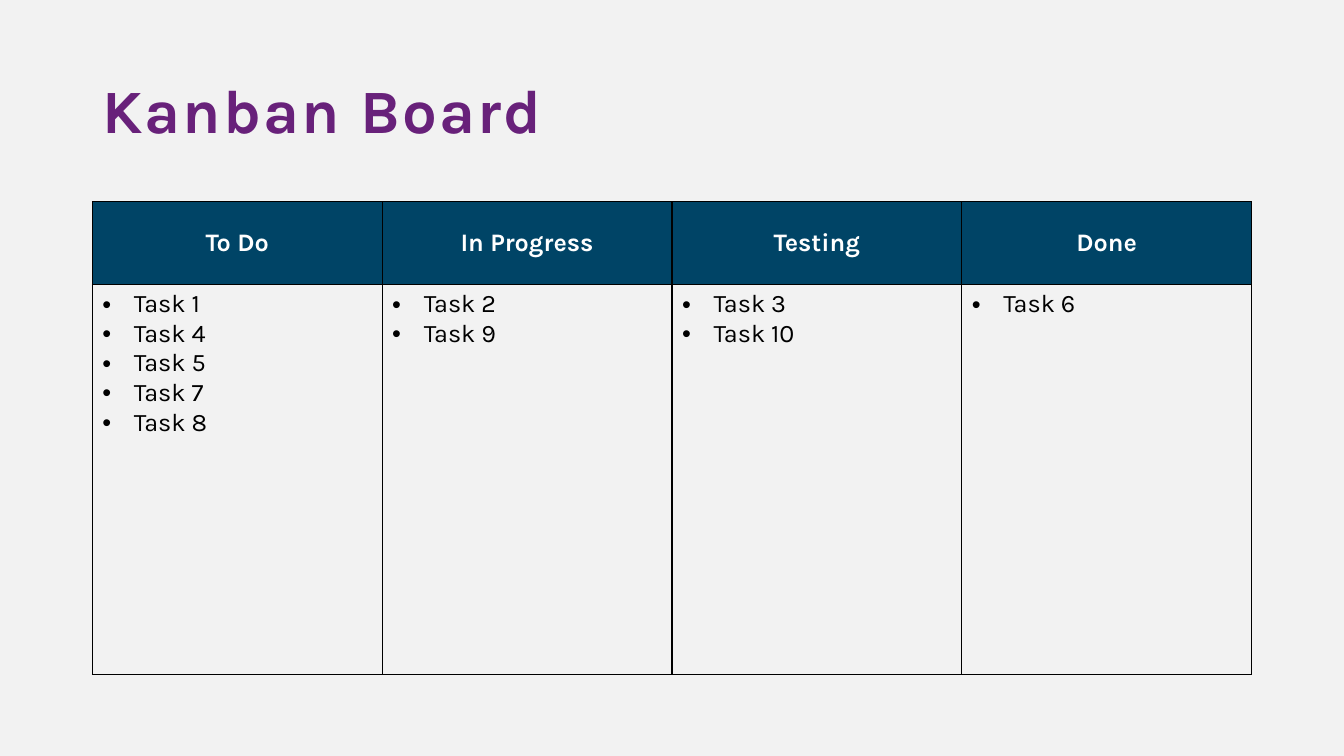
"""Build a Kanban board slide with four columns of tasks."""
from dataclasses import dataclass

from lxml import etree
from pptx import Presentation
from pptx.dml.color import RGBColor
from pptx.enum.text import MSO_ANCHOR, PP_ALIGN
from pptx.oxml.ns import qn
from pptx.util import Pt

MIDDLE, TOP = MSO_ANCHOR.MIDDLE, MSO_ANCHOR.TOP
LEFT, CENTER = PP_ALIGN.LEFT, PP_ALIGN.CENTER

BOARD = {
    "To Do": ["Task 1", "Task 4", "Task 5", "Task 7", "Task 8"],
    "In Progress": ["Task 2", "Task 9"],
    "Testing": ["Task 3", "Task 10"],
    "Done": ["Task 6"],
}


@dataclass(frozen=True)
class Theme:
    """Hold the colours, font and type sizes."""
    font: str = "Karla"
    background: str = "F2F2F2"
    title: str = "68217A"
    header_fill: str = "004466"
    header_text: str = "FFFFFF"
    ink: str = "000000"
    title_size: float = 44
    board_size: float = 18
    title_tracking: float = 1.6
    border_width: float = 1
    bullet_indent: float = 22.5


class SlideBuilder:
    """Draw themed elements on one slide."""

    def __init__(self, slide, theme):
        """Keep the slide and theme and paint the background."""
        self.slide = slide
        self.theme = theme
        fill = slide.background.fill
        fill.solid()
        fill.fore_color.rgb = RGBColor.from_string(theme.background)

    def format_runs(self, paragraph, size, color, bold):
        """Apply font, size, colour and weight to a paragraph's runs."""
        for run in paragraph.runs:
            run.font.name = self.theme.font
            run.font.size = Pt(size)
            run.font.bold = bold
            run.font.color.rgb = RGBColor.from_string(color)

    def add_title(self, text, left, top, width, height):
        """Add the letter-spaced slide title."""
        text_frame = self.slide.shapes.add_textbox(
            Pt(left), Pt(top), Pt(width), Pt(height)).text_frame
        text_frame.word_wrap = True
        text_frame.vertical_anchor = MIDDLE
        text_frame.text = text
        paragraph = text_frame.paragraphs[0]
        paragraph.line_spacing = 0.9
        self.format_runs(paragraph, self.theme.title_size, self.theme.title, True)
        for run in paragraph.runs:
            run.font._element.set("spc", str(round(self.theme.title_tracking * 100)))

    def add_bullet(self, paragraph):
        """Give a paragraph a round bullet and a hanging indent."""
        indent = Pt(self.theme.bullet_indent)
        properties = paragraph._p.get_or_add_pPr()
        properties.set("marL", str(indent))
        properties.set("indent", str(-indent))
        etree.SubElement(properties, qn("a:buFont"), typeface="Arial")
        etree.SubElement(properties, qn("a:buChar"), char="•")

    def add_borders(self, cell):
        """Draw a solid line on each side of a cell."""
        properties = cell._tc.get_or_add_tcPr()
        for side in ("lnL", "lnR", "lnT", "lnB"):
            line = etree.SubElement(properties, qn(f"a:{side}"),
                                    w=str(Pt(self.theme.border_width)))
            fill = etree.SubElement(line, qn("a:solidFill"))
            etree.SubElement(fill, qn("a:srgbClr"), val=self.theme.ink)

    def fill_cell(self, cell, lines, is_header):
        """Write the lines of a header or task cell and style it."""
        self.add_borders(cell)
        if is_header:
            cell.fill.solid()
            cell.fill.fore_color.rgb = RGBColor.from_string(self.theme.header_fill)
        else:
            cell.fill.background()
        cell.vertical_anchor = MIDDLE if is_header else TOP
        cell.text_frame.text = "\n".join(lines)
        color = self.theme.header_text if is_header else self.theme.ink
        for paragraph in cell.text_frame.paragraphs:
            paragraph.alignment = CENTER if is_header else LEFT
            if not is_header:
                self.add_bullet(paragraph)
            self.format_runs(paragraph, self.theme.board_size, color, is_header)

    def add_board(self, board, left, top, width, row_heights):
        """Add the table with one column per stage."""
        table = self.slide.shapes.add_table(
            len(row_heights), len(board), Pt(left), Pt(top),
            Pt(width), Pt(sum(row_heights))).table
        table.first_row = False
        table.horz_banding = False
        for row, height in zip(table.rows, row_heights):
            row.height = Pt(height)
        for index, (stage, tasks) in enumerate(board.items()):
            table.columns[index].width = Pt(width / len(board))
            self.fill_cell(table.cell(0, index), [stage], True)
            self.fill_cell(table.cell(1, index), tasks, False)


def main():
    """Create and save the presentation."""
    presentation = Presentation()
    presentation.slide_width = Pt(960)
    presentation.slide_height = Pt(540)
    slide = presentation.slides.add_slide(presentation.slide_layouts[6])
    builder = SlideBuilder(slide, Theme())
    builder.add_title("Kanban Board", 66, 28.8, 828, 104.4)
    builder.add_board(BOARD, 66, 144, 828, (59.3, 278.3))
    presentation.save("out.pptx")


if __name__ == "__main__":
    main()
